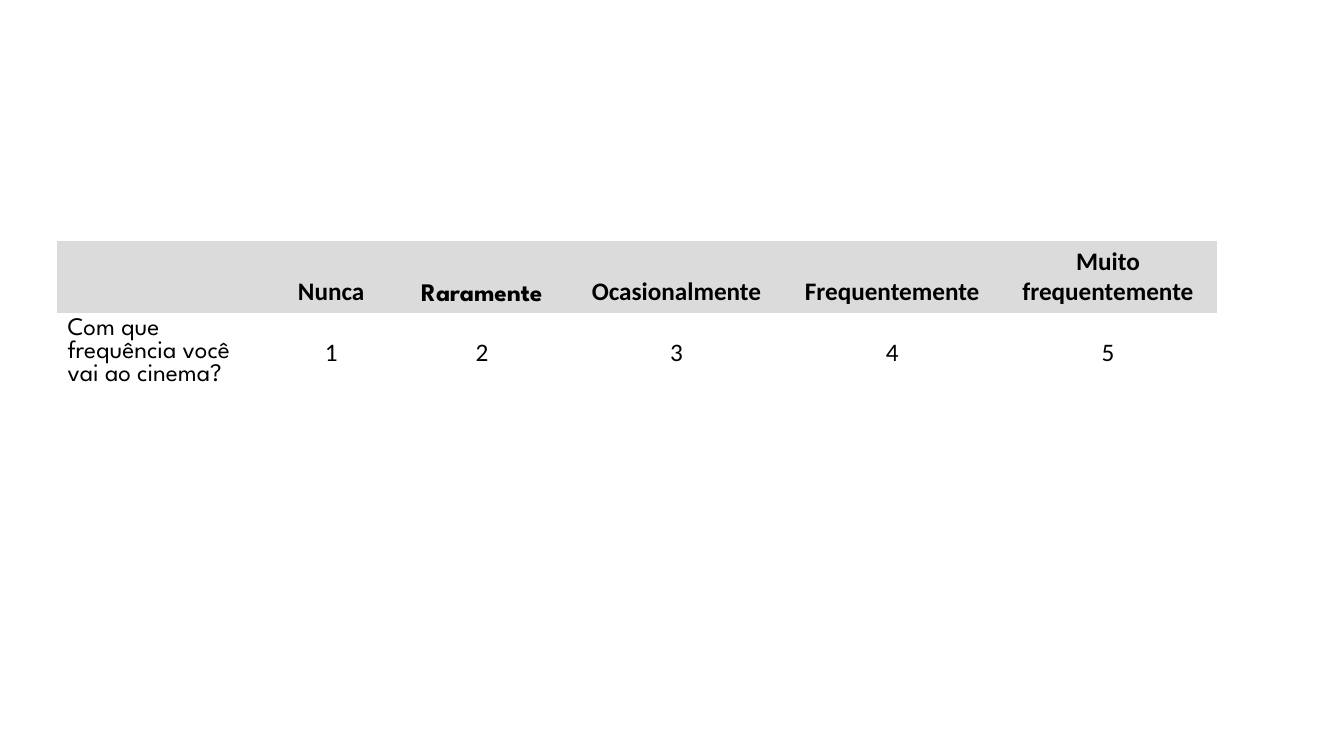
from pptx import Presentation
from pptx.dml.color import RGBColor
from pptx.enum.text import MSO_ANCHOR, PP_ALIGN
from pptx.oxml.ns import qn
from pptx.util import Inches, Pt

PAGE_WIDTH, PAGE_HEIGHT = 13.33, 7.5
TABLE_LEFT, TABLE_TOP = 0.57, 2.39
COLUMN_WIDTHS = [2.07, 1.29, 1.7, 2.16, 2.12, 2.16]
ROW_HEIGHT = 0.41
NO_STYLE_NO_GRID = "{2D5ABB26-0587-4C30-8999-92F81FD0307C}"

BODY_FONT, ACCENT_FONT = "Calibri", "League Spartan"
QUESTION = "Com que frequência você vai ao cinema?"
FREQUENCIES = ["Nunca", "Raramente", "Ocasionalmente", "Frequentemente",
               "Muito frequentemente"]
SCORES = [str(score) for score in range(1, len(FREQUENCIES) + 1)]
ACCENTED = {"Raramente", QUESTION}


def color(hex_string):
    return RGBColor.from_string(hex_string)


def fill_cell(cell, text, fill, anchor, align, bold):
    cell.fill.solid()
    cell.fill.fore_color.rgb = color(fill)
    cell.vertical_anchor = anchor
    para = cell.text_frame.paragraphs[0]
    para.text = text
    para.alignment = align
    font = para.font
    font.name = ACCENT_FONT if text in ACCENTED else BODY_FONT
    font.size = Pt(18)
    font.bold = bold
    font.color.rgb = color("000000")


def add_plain_table(page, row_count):
    """Add a table without banding or grid lines."""
    frame = page.shapes.add_table(
        row_count, len(COLUMN_WIDTHS), Inches(TABLE_LEFT), Inches(TABLE_TOP),
        Inches(sum(COLUMN_WIDTHS)), Inches(ROW_HEIGHT * row_count))
    table = frame.table
    table.first_row = table.horz_banding = False
    style = next(frame.element.iter(qn("a:tableStyleId")))
    style.text = NO_STYLE_NO_GRID
    for column, width in zip(table.columns, COLUMN_WIDTHS):
        column.width = Inches(width)
    return table


def add_scale(page):
    table = add_plain_table(page, row_count=2)
    for index, frequency in enumerate([""] + FREQUENCIES):
        fill_cell(table.cell(0, index), frequency, "DBDBDB",
                  MSO_ANCHOR.BOTTOM, PP_ALIGN.CENTER, bold=True)
    for index, answer in enumerate([QUESTION] + SCORES):
        align = PP_ALIGN.CENTER if index else PP_ALIGN.LEFT
        fill_cell(table.cell(1, index), answer, "FFFFFF",
                  MSO_ANCHOR.MIDDLE, align, bold=False)


def main():
    deck = Presentation()
    deck.slide_width = Inches(PAGE_WIDTH)
    deck.slide_height = Inches(PAGE_HEIGHT)
    page = deck.slides.add_slide(deck.slide_layouts[6])
    add_scale(page)
    deck.save("out.pptx")


if __name__ == "__main__":
    main()
